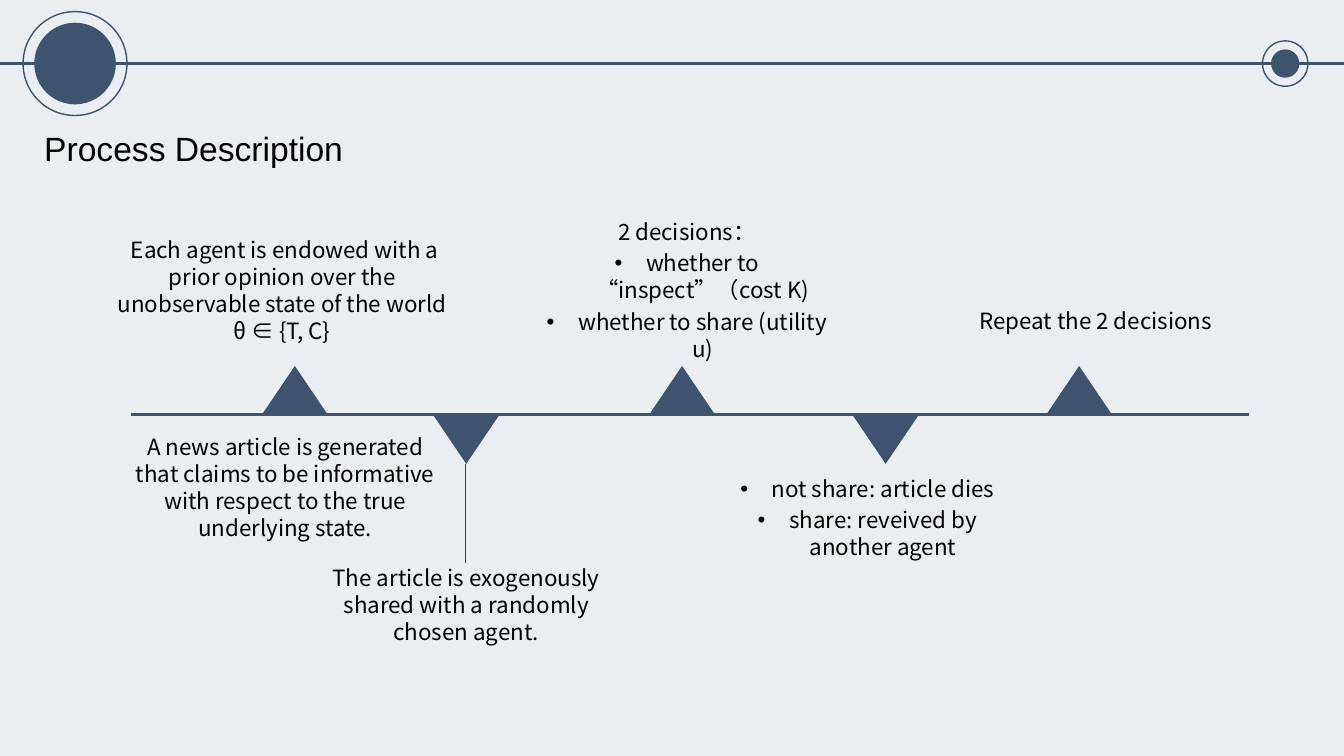
import pptx
import pptx.util
import pptx.dml.color
import pptx.enum.shapes
import pptx.enum.text
import pptx.oxml.ns
from lxml import etree

Pt = pptx.util.Pt
RGB = pptx.dml.color.RGBColor
SHAPE = pptx.enum.shapes.MSO_SHAPE
NAVY = RGB(0x3E, 0x53, 0x6E)
GRAY = RGB(0x3F, 0x3F, 0x3F)
PALE = RGB(0xE9, 0xEE, 0xF1)
BLACK = RGB(0, 0, 0)
SANS = "Noto Sans CJK SC"
TIP_W, TIP_H = 46.8, 34.6


def add_tag(parent, name, **attrs):
    """Append a DrawingML element to a parent."""
    return etree.SubElement(parent, pptx.oxml.ns.qn(name), attrs)


def draw_line(slide, x1, y1, x2, y2, color, width):
    """Draw a straight line without a shadow."""
    kind = pptx.enum.shapes.MSO_CONNECTOR.STRAIGHT
    line = slide.shapes.add_connector(kind, Pt(x1), Pt(y1), Pt(x2), Pt(y2))
    line.line.color.rgb = color
    line.line.width = Pt(width)
    add_tag(line._element.spPr, "a:effectLst")


def draw_shape(slide, kind, x, y, w, h, solid=True):
    """Draw a navy shape, either solid or as a thin outline."""
    shape = slide.shapes.add_shape(kind, Pt(x), Pt(y), Pt(w), Pt(h))
    shape.shadow.inherit = False
    if solid:
        shape.fill.solid()
        shape.fill.fore_color.rgb = NAVY
        shape.line.fill.background()
    else:
        shape.fill.background()
        shape.line.color.rgb = NAVY
        shape.line.width = Pt(1)
    return shape


def draw_head(slide, x, y, w):
    """Draw the top rule with a ringed dot near each end."""
    draw_line(slide, x, y, x + w, y, NAVY, 2)
    for mid, dot, ring in ((x + 53.6, 58.3, 74.2), (x + w - 42, 20.2, 32.4)):
        for size, solid in ((dot, True), (ring, False)):
            draw_shape(slide, SHAPE.OVAL, mid - size / 2, y - size / 2,
                       size, size, solid)


def draw_title(slide, x, y, w, h):
    """Place the slide title."""
    box = slide.shapes.add_textbox(Pt(x), Pt(y), Pt(w), Pt(h))
    box.text_frame.word_wrap = True
    box.text_frame.text = "Process Description"
    font = box.text_frame.paragraphs[0].runs[0].font
    font.name, font.size, font.color.rgb = "Arial", Pt(24), BLACK


def draw_note(slide, x, y, w, h, head="", items=()):
    """Place a centred note with an optional lead and bullets."""
    box = slide.shapes.add_textbox(Pt(x), Pt(y), Pt(w), Pt(h))
    frame = box.text_frame
    frame.word_wrap = True
    frame.margin_left = frame.margin_right = 0
    frame.margin_top = frame.margin_bottom = 0
    frame.text = "\n".join([head, *items] if head else items)
    for para in frame.paragraphs:
        para.alignment = pptx.enum.text.PP_ALIGN.CENTER
        para.line_spacing = Pt(19.3)
        para.space_before = Pt(3.2)
        if para.text in items:
            props = para._p.get_or_add_pPr()
            props.set("marL", str(Pt(22.5)))
            props.set("indent", str(-Pt(22.5)))
            add_tag(props, "a:buFont", typeface="Arial")
            add_tag(props, "a:buChar", char="•")
        for run in para.runs:
            font = run.font
            font.name, font.size, font.color.rgb = SANS, Pt(16), BLACK
            add_tag(run._r.get_or_add_rPr(), "a:ea", typeface=SANS)


def draw_axis(slide, x, y, w):
    """Draw the time axis with its triangles and notes."""
    draw_line(slide, x, y, x + w, y, NAVY, 2)
    for mid in (117, 393.6, 677.2):
        draw_shape(slide, SHAPE.ISOSCELES_TRIANGLE, x + mid - TIP_W / 2,
                   y - TIP_H, TIP_W, TIP_H)
    for mid in (239.4, 539):
        tip = draw_shape(slide, SHAPE.ISOSCELES_TRIANGLE, x + mid - TIP_W / 2,
                         y + 0.7, TIP_W, TIP_H)
        tip.rotation = 180
    draw_line(slide, x + 239, y + 35.3, x + 239, y + 106.5, GRAY, 0.5)
    notes = (
        (-11.5, -127.4, 239, 84.2, " Each agent is endowed with a prior opinion "
         "over the unobservable state of the world θ ∈ {T, C}", ()),
        (0, 13, 220.3, 80, "A news article is generated that claims to be "
         "informative with respect to the true underlying state.", ()),
        (136.8, 106.5, 205.2, 75.6, "The article is exogenously shared with "
         "a randomly chosen agent.", ()),
        (296.6, -140.4, 200.9, 104.4, "2 decisions：",
         ("whether to “inspect”（cost K)", "whether to share (utility u)")),
        (425.5, 43.2, 200.9, 62, "",
         ("not share: article dies", "share: reveived by another agent")),
        (580.3, -77, 217.4, 41.8, "Repeat the 2 decisions", ()),
    )
    for left, top, wide, high, head, items in notes:
        draw_note(slide, x + left, y + top, wide, high, head, items)


def main():
    """Build and save the slide."""
    deck = pptx.Presentation()
    deck.slide_width, deck.slide_height = Pt(960), Pt(540)
    slide = deck.slides.add_slide(deck.slide_layouts[6])
    slide.background.fill.solid()
    slide.background.fill.fore_color.rgb = PALE
    draw_head(slide, 0, 45.4, 960)
    draw_title(slide, 24.5, 87.8, 272.9, 63.4)
    draw_axis(slide, 93.6, 296, 798.5)
    deck.save("out.pptx")


if __name__ == "__main__":
    main()
